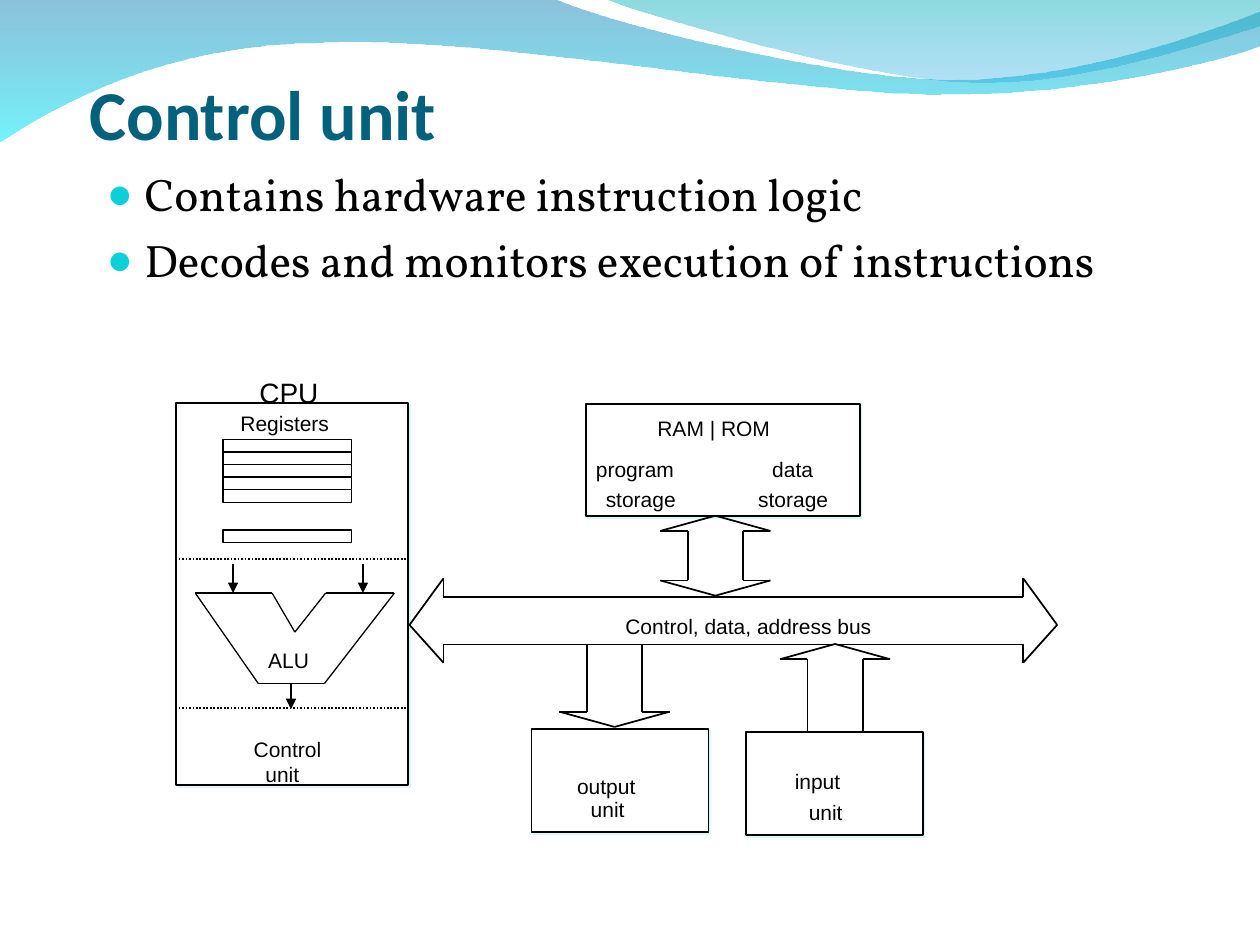
import lxml.etree
import pptx
import pptx.dml.color
import pptx.enum.dml
import pptx.enum.shapes
import pptx.enum.text
import pptx.oxml.ns
import pptx.util

Pt = pptx.util.Pt
qn = pptx.oxml.ns.qn
ALIGN = pptx.enum.text.PP_ALIGN
ANCHOR = pptx.enum.text.MSO_ANCHOR


def rgb(value):
    """Return the colour of a hex string."""
    return pptx.dml.color.RGBColor.from_string(value)


def element(parent, tag, **attributes):
    """Append a DrawingML element to its parent."""
    child = lxml.etree.SubElement(parent, qn(tag))
    for key, value in attributes.items():
        child.set(key, str(value))
    return child


def write(slide, text, left, top, width, height=21.6, *, size=12, font="Arial",
          color="000000", bold=False, align=ALIGN.LEFT, anchor=ANCHOR.TOP, wrap=False,
          insets=(7.2, 3.6, 7.2, 3.6), indents=(0,), bullet=None, before=0):
    """Place text, one paragraph for each line."""
    box = slide.shapes.add_textbox(Pt(left), Pt(top), Pt(width), Pt(height))
    frame = box.text_frame
    frame.word_wrap = wrap
    frame.vertical_anchor = anchor
    frame.margin_left, frame.margin_top, frame.margin_right, frame.margin_bottom = map(Pt, insets)
    for index, line_text in enumerate(text.split("\n")):
        paragraph = frame.paragraphs[0] if index == 0 else frame.add_paragraph()
        paragraph.text = line_text
        paragraph.alignment = align
        properties = paragraph._p.get_or_add_pPr()
        properties.set("marL", str(Pt(indents[index % len(indents)])))
        if bullet:
            properties.set("indent", str(-Pt(indents[0])))
            element(element(properties, "a:buClr"), "a:srgbClr", val=bullet)
            element(properties, "a:buSzPct", val=95000)
            element(properties, "a:buFont", typeface="Arial")
            element(properties, "a:buChar", char="●")
        if index and before:
            paragraph.space_before = Pt(before)
        paragraph.font.size = Pt(size)
        paragraph.font.name = font
        paragraph.font.bold = bold
        paragraph.font.color.rgb = rgb(color)


def panel(slide, left, top, width, height, weight=1, shadow=True):
    """Draw a white rectangle with a black edge."""
    rect = slide.shapes.add_shape(pptx.enum.shapes.MSO_SHAPE.RECTANGLE,
                                  Pt(left), Pt(top), Pt(width), Pt(height))
    rect.fill.solid()
    rect.fill.fore_color.rgb = rgb("FFFFFF")
    rect.line.color.rgb = rgb("000000")
    rect.line.width = Pt(weight)
    rect.shadow.inherit = False
    if shadow:
        effects = rect._element.spPr.find(qn("a:effectLst"))
        cast = element(effects, "a:outerShdw", dist=Pt(1.4), dir=2700000, algn="ctr", rotWithShape=0)
        element(cast, "a:srgbClr", val="DBF5F9")


def line(slide, start, end, weight=0.75, dotted=False, arrow=False):
    """Draw a straight black line, dotted or with an arrowhead."""
    connector = slide.shapes.add_connector(pptx.enum.shapes.MSO_CONNECTOR.STRAIGHT,
                                           *map(Pt, (*start, *end)))
    connector.line.color.rgb = rgb("000000")
    connector.line.width = Pt(weight)
    if dotted:
        connector.line.dash_style = pptx.enum.dml.MSO_LINE.ROUND_DOT
    if arrow:
        element(connector.line._get_or_add_ln(), "a:tailEnd", type="triangle")
    element(connector._element.spPr, "a:effectLst")


def outline(slide, left, top, points, closed=True, weight=1):
    """Join points relative to a corner with straight lines."""
    corners = [(left + x, top + y) for x, y in points]
    if closed:
        corners.append(corners[0])
    for start, end in zip(corners, corners[1:]):
        line(slide, start, end, weight)


def wave(slide, left, top, start, segments, stops):
    """Draw a gradient wave of straight (x, y) and cubic six-number segments."""
    points = [pair for segment in segments for pair in zip(segment[::2], segment[1::2])]
    builder = slide.shapes.build_freeform(Pt(left + start[0]), Pt(top + start[1]))
    builder.add_line_segments([(Pt(left + x), Pt(top + y)) for x, y in points])
    shape = builder.convert_to_shape()
    steps = iter(list(shape._element.iter(qn("a:lnTo"))))
    for segment in segments:
        first = next(steps)
        if len(segment) == 6:
            cubic = lxml.etree.Element(qn("a:cubicBezTo"))
            first.getparent().replace(first, cubic)
            for step in (first, next(steps), next(steps)):
                cubic.append(step[0])
                if step.getparent() is not None:
                    step.getparent().remove(step)
    shape.shadow.inherit = False
    shape.line.fill.background()
    shape.fill.gradient()
    shape.fill.gradient_angle = 270
    for stop, (color, alpha) in zip(shape.fill.gradient_stops, stops):
        stop.color.rgb = rgb(color)
        element(stop._gs.find(qn("a:srgbClr")), "a:alpha", val=alpha * 1000)


def waves(slide, left, top):
    """Draw the two waves along the upper edge."""
    wave(slide, left, top, (0, -0.7), (
        (316.8, -0.7), (342.7, 12.2, 478.1, 45.4, 545.8, 45.4),
        (614.2, 45.4, 689.8, 18.7, 720, 6.5), (720.7, 25.9),
        (707.8, 31.7, 626.4, 54.7, 537.1, 54), (447.8, 54, 275, 20.2, 185, 24.5),
        (92.9, 25.2, 33.1, 59.8, -0.7, 81.4)), (("0079AF", 45), ("00EBF8", 55)))
    wave(slide, left, top, (344.9, -0.7), (
        (366.5, 7.9, 491, 44.6, 553.7, 46.8), (616.3, 49.7, 691.9, 23, 720, 15.1),
        (720, 0)), (("00ADB6", 45), ("009BE5", 30)))


def cpu(slide, left, top, width, height):
    """Draw the processor with its registers, ALU and control unit."""
    panel(slide, left, top, width, height)
    for y in (89.3, 174.2):
        line(slide, (left - 0.7, top + y), (left + width - 0.7, top + y), weight=1, dotted=True)
    write(slide, "Control\nunit", left + 37.1, top + 187.2, 53.3, 36, indents=(0, 6.7))
    write(slide, "ALU", left + 45.4, top + 136.4, 38.2)
    write(slide, "Registers", left + 29.5, top + 0.7, 65.5)
    write(slide, "CPU", left + 24.7, top - 19.4, 79.2, 26.6, size=16, align=ALIGN.CENTER, wrap=True)
    row_height = 7.2
    for y in [20.9 + row * row_height for row in range(5)] + [72.7]:
        panel(slide, left + 26.6, top + y, 73.4, row_height, weight=0.75, shadow=False)
    alu_top, notch, alu_bottom = 108.7, 131, 160.4
    outline(slide, left, top, [
        (10.8, alu_top), (54.7, alu_top), (67.7, notch), (85.3, alu_top),
        (124.6, alu_top), (84.6, alu_bottom), (46.8, alu_bottom)], weight=0.75)
    for x, start, end in ((32.4, 92.2, alu_top), (106.6, 92.2, alu_top), (65.5, alu_bottom, 175)):
        line(slide, (left + x, top + start), (left + x, top + end), arrow=True)


def unit(slide, left, top, width, height, labels):
    """Draw a box with labels given as text, x, y and width."""
    panel(slide, left, top, width, height)
    for text, x, y, label_width in labels:
        write(slide, text, left + x, top + y, label_width)


def vertical_arrow(slide, left, top, width, height, up=False, down=False, head=8.7):
    """Draw a block arrow, left open at an end without a head."""
    upper = [(width / 2, 0), (width, head), (width * 0.75, head)] if up else [(width * 0.75, 0)]
    lower = ([(width * 0.75, height - head), (width, height - head), (width / 2, height)]
             if down else [(width * 0.75, height)])
    right = upper + lower
    if not down:
        right.reverse()
    mirrored = [(width - x, y) for x, y in reversed(right)]
    outline(slide, left, top, right + mirrored[1:], closed=False)


def bus(slide, left, top, width, height):
    """Draw the two-headed bus arrow and its label."""
    head, tip, shaft_top, shaft_bottom = 19.4, 26.6, 10.8, 37.8
    inner = width - head
    outline(slide, left, top, [
        (0, tip), (head, 0), (head, shaft_top), (inner, shaft_top), (inner, 0), (width, tip),
        (inner, height), (inner, shaft_bottom), (head, shaft_bottom), (head, height)])
    write(slide, "Control, data, address bus", left + 116.3, top + 16.5, 163.4, wrap=True)


def main():
    """Build the slide and save it."""
    deck = pptx.Presentation()
    deck.slide_width, deck.slide_height = Pt(720), Pt(540)
    slide = deck.slides.add_slide(deck.slide_layouts[6])
    waves(slide, 0, 0)
    write(slide, "Control unit", 51.1, 28.4, 612, 59.8, size=40, font="Calibri", color="04617B",
          bold=True, anchor=ANCHOR.BOTTOM, wrap=True, insets=(0, 3.6, 0, 0))
    write(slide, "Contains hardware instruction logic\nDecodes and monitors execution of instructions",
          54, 91.4, 612, 424.8, size=26, font="Vollkorn", wrap=True,
          indents=(21.6,), bullet="0BD0D9", before=6.5)
    cpu(slide, 100.8, 230.2, 132.5, 218.6)
    unit(slide, 334.8, 230.8, 156.6, 64.1, (
        ("RAM | ROM", 33.8, 3.2, 97.9), ("program", -1.4, 26.5, 59), ("storage", 4.3, 43.5, 54.7),
        ("data", 99.4, 26.5, 38.2), ("storage", 91.4, 43.5, 54.7)))
    vertical_arrow(slide, 377.3, 294.7, 63, 45.7, up=True, down=True)
    vertical_arrow(slide, 319.7, 368.6, 63, 46.8, down=True)
    vertical_arrow(slide, 445.7, 368, 63, 50.3, up=True)
    bus(slide, 234, 330.5, 370.1, 48.2)
    unit(slide, 303.8, 416.6, 101.1, 59, (("output", 18.9, 21.9, 48.2), ("unit", 26.7, 34.8, 33.8)))
    unit(slide, 426.2, 418.3, 101.1, 59, (("input", 20.9, 17.3, 40.3), ("unit", 28.9, 34.9, 33.8)))
    deck.save("out.pptx")


if __name__ == "__main__":
    main()
